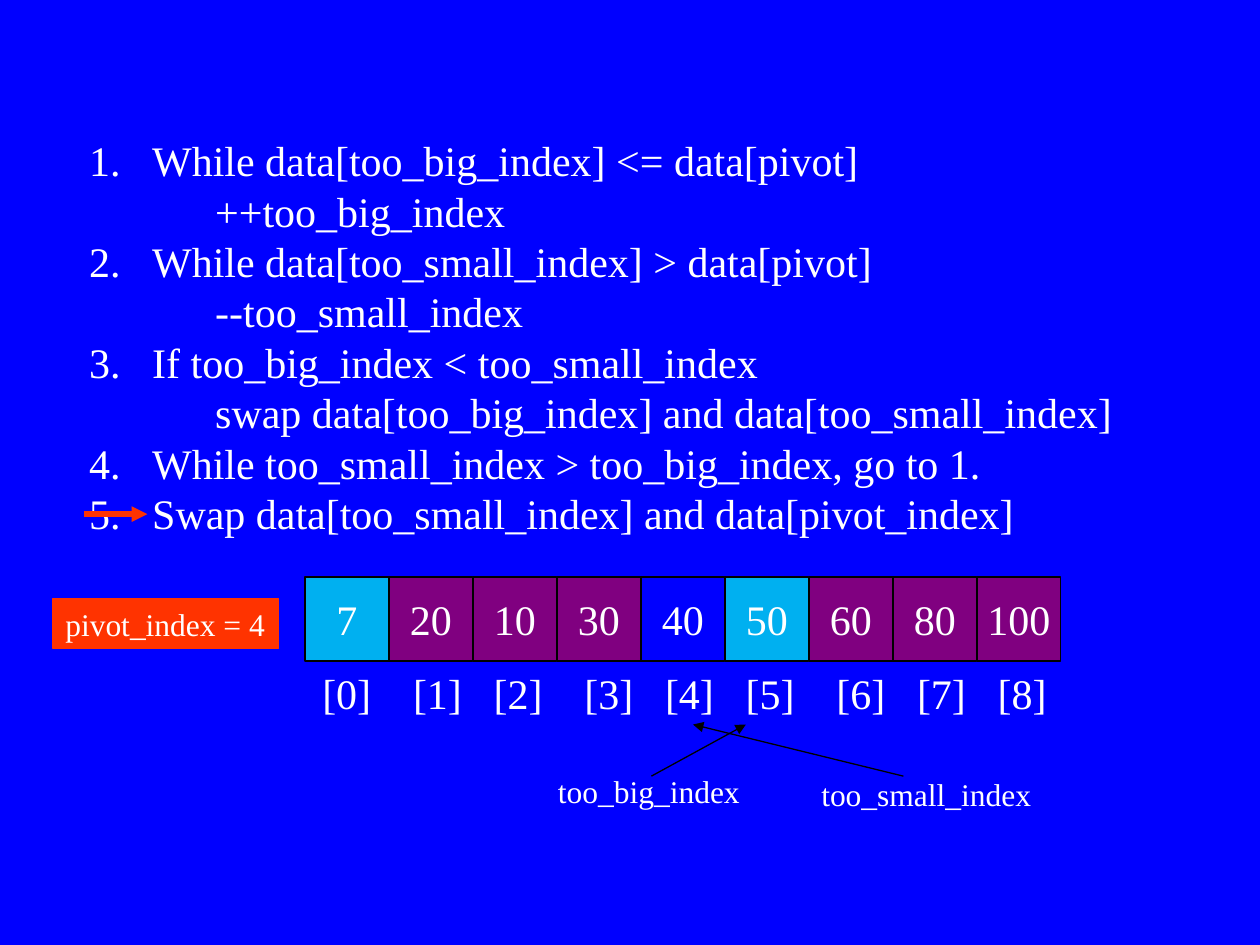
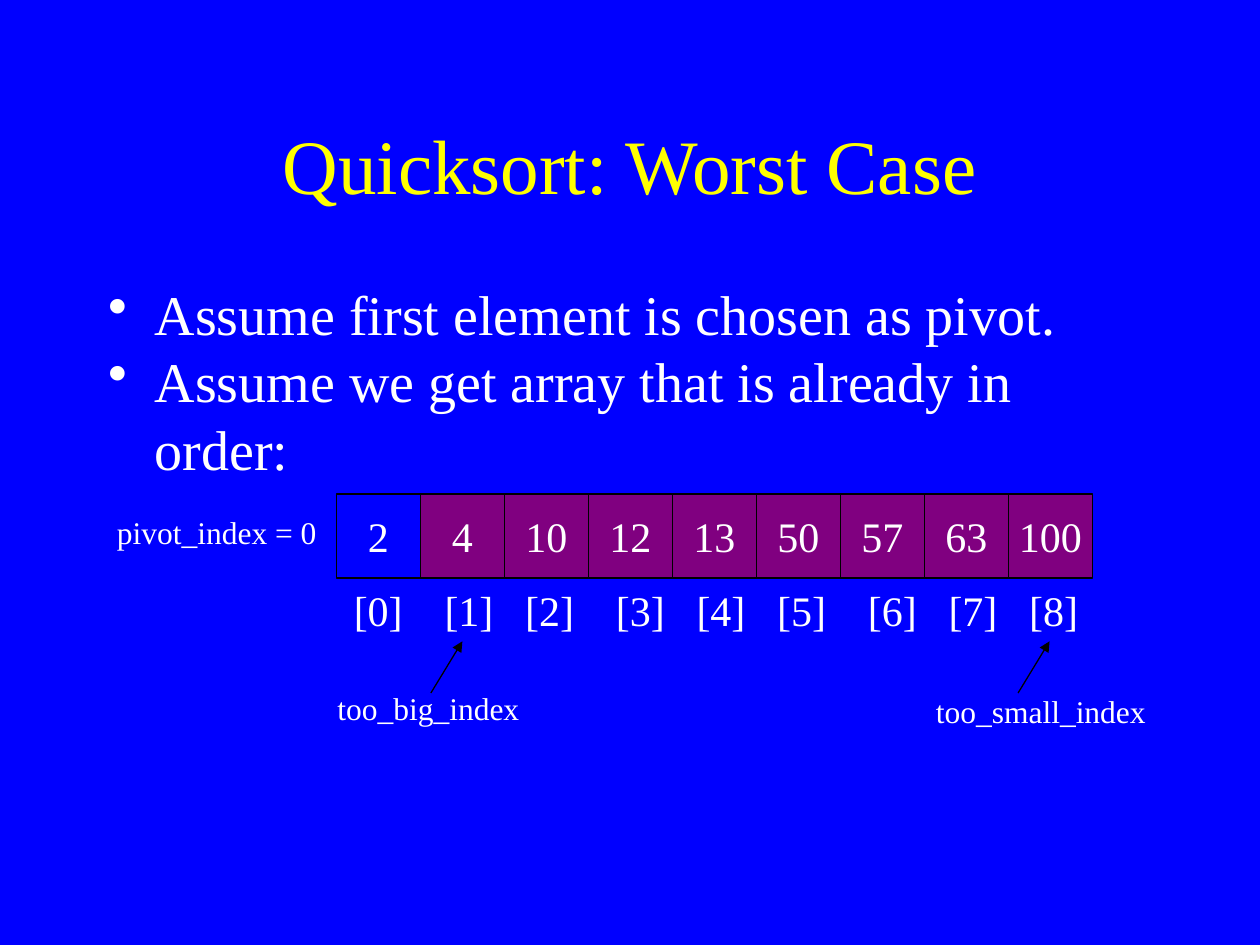
from dataclasses import dataclass
from lxml.etree import SubElement as Sub
from pptx import Presentation as Deck
from pptx.dml.color import RGBColor as RGB
from pptx.enum.shapes import MSO_CONNECTOR as LINK, MSO_SHAPE as SHAPE
from pptx.enum.text import MSO_ANCHOR as ANCHOR, PP_ALIGN as ALIGN
from pptx.oxml.ns import qn
from pptx.util import Inches, Pt


@dataclass(frozen=True)
class Theme:
    font: str = "Times New Roman"
    blue: str = "0000FF"
    cyan: str = "00B0F0"
    plum: str = "800080"
    red: str = "FF3300"
    gold: str = "FFFF00"
    white: str = "FFFFFF"
    black: str = "000000"
    title: int = 44
    body: int = 32
    code: int = 24
    label: int = 18


T = Theme()
NUM = "num"
DOT = "dot"


def write(slide, at, lines, size, color=T.white, fill=None, edge=T.black,
          align=ALIGN.LEFT, anchor=ANCHOR.TOP, wrap=True):
    """Put lines of text in a plain box, or in a rectangle when filled."""
    place = [Inches(n) for n in at]
    if fill:
        box = slide.shapes.add_shape(SHAPE.RECTANGLE, *place)
        box.shadow.inherit = False
        box.fill.solid()
        box.fill.fore_color.rgb = RGB.from_string(fill)
        box.line.color.rgb = RGB.from_string(edge)
        box.line.width = Pt(0.75)
    else:
        box = slide.shapes.add_textbox(*place)
    frame = box.text_frame
    frame.word_wrap = wrap
    frame.vertical_anchor = anchor
    frame.text = "\n".join(lines)
    for para in frame.paragraphs:
        para.alignment = align
        for run in para.runs:
            run.font.name = T.font
            run.font.size = Pt(size)
            run.font.color.rgb = RGB.from_string(color)
    return frame.paragraphs


def arrow(slide, start, end, color=T.black, width=0.75):
    """Draw a straight line with a triangle at its end."""
    ends = [Inches(n) for n in (*start, *end)]
    line = slide.shapes.add_connector(LINK.STRAIGHT, *ends)
    line.line.color.rgb = RGB.from_string(color)
    line.line.width = Pt(width)
    Sub(line.line._get_or_add_ln(), qn("a:tailEnd"), type="triangle")
    Sub(line._element.spPr, qn("a:effectLst"))


deck = Deck()
deck.slide_width, deck.slide_height = Inches(10), Inches(7.5)
slides = []
for _ in range(2):
    slide = deck.slides.add_slide(deck.slide_layouts[6])
    slide.background.fill.solid()
    slide.background.fill.fore_color.rgb = RGB.from_string(T.blue)
    slides.append(slide)
swap, worst = slides

# Partition steps: numbered lines, each with its action indented below
steps = [
    (1, "While data[too_big_index] <= data[pivot]"),
    (None, "++too_big_index"),
    (2, "While data[too_small_index] > data[pivot]"),
    (None, "--too_small_index"),
    (3, "If too_big_index < too_small_index"),
    (None, "swap data[too_big_index] and data[too_small_index]"),
    (4, "While too_small_index > too_big_index, go to 1."),
    (5, "Swap data[too_small_index] and data[pivot_index]"),
]
paras = write(swap, (0.61, 1.02, 9.33, 4.5), [text for _, text in steps], T.code)
for para, (num, _) in zip(paras, steps):
    props = para._p.get_or_add_pPr()
    props.set("marL", str(Inches(0.5 if num else 1)))
    props.set("indent", str(Inches(-0.5 if num else 0)))
    if num:
        Sub(props, qn("a:buAutoNum"), type="arabicPeriod", startAt=str(num))

# Title and bullets of the worst case
write(worst, (0.75, 0.67, 8.5, 1.25), ["Quicksort: Worst Case"], T.title,
      T.gold, align=ALIGN.CENTER, anchor=ANCHOR.MIDDLE)
facts = ["Assume first element is chosen as pivot.",
         "Assume we get array that is already in order:"]
for para in write(worst, (0.75, 2.17, 8.5, 4.5), facts, T.body):
    props = para._p.get_or_add_pPr()
    props.set("marL", str(Inches(0.38)))
    props.set("indent", str(Inches(-0.37)))
    Sub(props, qn("a:buChar"), char="•")

# Arrays: slide, left, top, values, pivot cell, swapped cells,
# pivot note (left, drop, fill), label lefts, arrow (start, end) lefts
arrays = [
    (swap, 2.42, 4.58, [7, 20, 10, 30, 40, 50, 60, 80, 100], 4, (0, 5),
     (0.42, 0.17, T.red), (4.33, 6.42), [(7.17, 5.5), (5.17, 5.92)]),
    (worst, 2.67, 3.92, [2, 4, 10, 12, 13, 50, 57, 63, 100], 0, (),
     (0.83, 0.1, None), (2.58, 7.33), [(8.08, 8.33), (3.42, 3.67)]),
]
side = 2 / 3
gaps = [0.72, 0.64, 0.72, 0.64, 0.64, 0.72, 0.64, 0.64]
for slide, left, top, data, pivot, hits, note, labels, links in arrays:
    # Cells
    for i, value in enumerate(data):
        fill = T.blue if i == pivot else T.cyan if i in hits else T.plum
        write(slide, (left + i * side, top, side, side), [str(value)], T.code,
              fill=fill, align=ALIGN.CENTER, anchor=ANCHOR.MIDDLE, wrap=False)

    # Pivot note
    x, drop, fill = note
    write(slide, (x, top + drop, 1.79, 0.4), [f"pivot_index = {pivot}"],
          T.label, fill=fill, edge=T.red, wrap=False)

    # Index row, spaced with tab stops
    marks = "\t".join(f"[{i}]" for i in range(len(data)))
    row = write(slide, (left + 0.04, top + side, 5.96, 0.5), [marks], T.code)
    tabs = Sub(row[0]._p.get_or_add_pPr(), qn("a:tabLst"))
    for i in range(len(gaps)):
        Sub(tabs, qn("a:tab"), pos=str(Inches(sum(gaps[:i + 1]))), algn="l")

    # Index names and their arrows
    big, small = labels
    write(slide, (big, top + 1.5, 3.17, 0.4), ["too_big_index"], T.label)
    write(slide, (small, top + 1.52, 2.33, 0.4), ["too_small_index"], T.label)
    for start, end in links:
        arrow(slide, (start, top + 1.58), (end, top + 1.17))

# Arrow at the current step
arrow(swap, (0.67, 4.08), (1.17, 4.08), T.red, 3)

deck.save("out.pptx")
